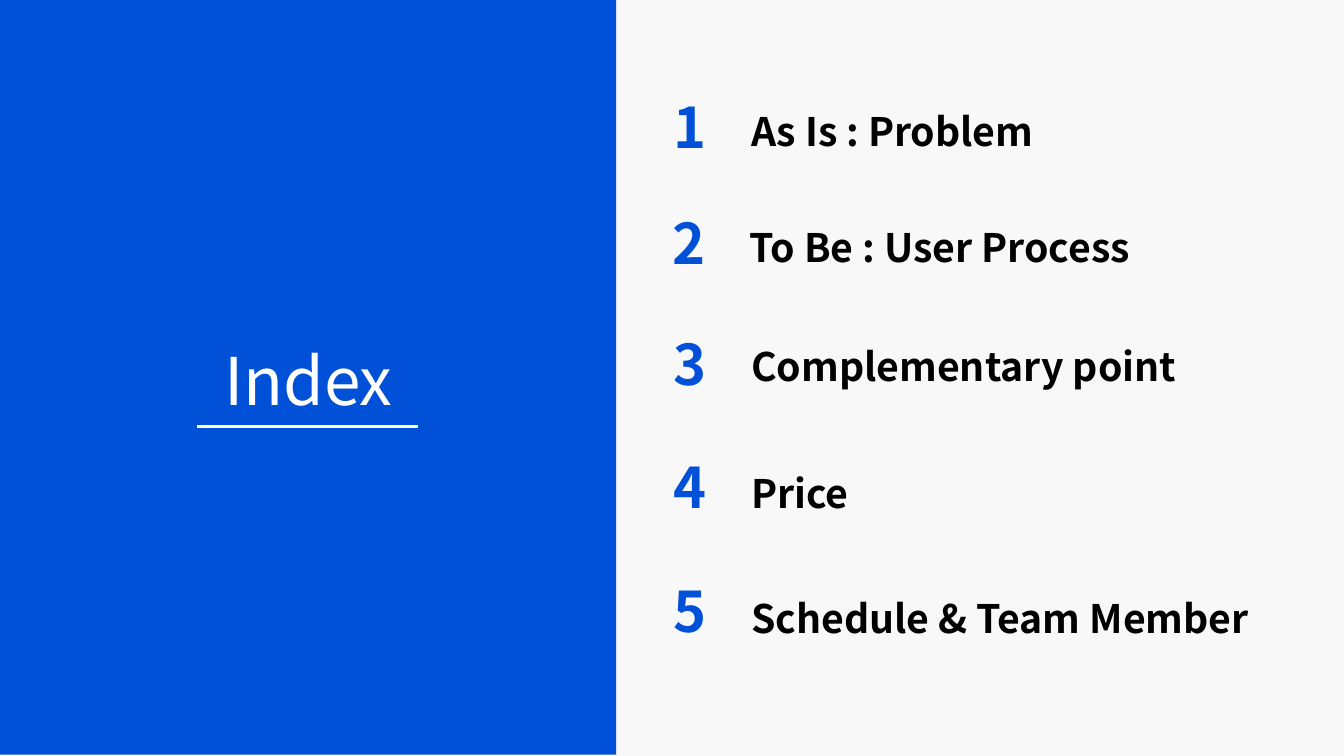
import pptx
import pptx.dml.color
import pptx.enum.shapes
import pptx.enum.text
import pptx.oxml.ns
import pptx.util
from lxml import etree

RGB = pptx.dml.color.RGBColor
ALIGN = pptx.enum.text.PP_ALIGN
BLUE = RGB(0x00, 0x51, 0xD7)
PALE = RGB(0xF8, 0xF8, 0xF8)
WHITE = RGB(0xFF, 0xFF, 0xFF)
BLACK = RGB(0x00, 0x00, 0x00)
FONT = "Noto Sans CJK KR"
PX = 4572  # 200 px to the inch

# Left shift, number top, label top, label
ENTRIES = [
    (0, 118, 140, "As Is : Problem"),
    (-2, 290, 312, "To Be : User Process"),
    (0, 470, 490, "Complementary point"),
    (0, 654, 678, "Price"),
    (0, 838, 864, "Schedule & Team Member"),
]


def px(*lengths):
    return [pptx.util.Emu(n * PX) for n in lengths]


def write(sp, text, size, color, bold=False, align=ALIGN.LEFT):
    """Fill a shape with one formatted paragraph."""
    tf = sp.text_frame
    tf.word_wrap = True
    tf.auto_size = pptx.enum.text.MSO_AUTO_SIZE.NONE
    tf.vertical_anchor = pptx.enum.text.MSO_ANCHOR.TOP
    tf.margin_left = tf.margin_top = tf.margin_right = tf.margin_bottom = px(20)[0]
    p = tf.paragraphs[0]
    p.alignment = align
    r = p.add_run()
    r.text = text
    r.font.size = pptx.util.Pt(size)
    r.font.bold = bold
    r.font.color.rgb = color
    r.font.name = FONT
    ea = etree.SubElement(r.font._element, pptx.oxml.ns.qn("a:ea"))
    ea.set("typeface", FONT)


def title_panel(s, x, y, w, h):
    # Blue panel, sent behind the title
    sp = s.shapes.add_shape(pptx.enum.shapes.MSO_SHAPE.RECTANGLE, *px(x, y, w, h))
    sp.shadow.inherit = False
    sp.fill.solid()
    sp.fill.fore_color.rgb = BLUE
    sp.line.fill.background()
    s.shapes._spTree.insert(2, sp._element)

    # Title
    title = s.shapes.title
    title.left, title.top, title.width, title.height = px(x + 241, y + 487, 438, 126)
    write(title, "Index", 35.2, WHITE, align=ALIGN.CENTER)

    # Underline
    line = s.shapes.add_connector(
        pptx.enum.shapes.MSO_CONNECTOR.STRAIGHT,
        *px(x + 294, y + 636, x + 623, y + 636))
    line.line.color.rgb = WHITE
    line.line.width = pptx.util.Pt(1.5)
    etree.SubElement(line._element.spPr, pptx.oxml.ns.qn("a:effectLst"))


def index_list(s, x, y):
    for number, (shift, number_top, label_top, label) in enumerate(ENTRIES, 1):
        left = x + shift
        sp = s.shapes.add_textbox(*px(left, y + number_top, 144, 118))
        write(sp, str(number), 30, BLUE, bold=True, align=ALIGN.CENTER)
        sp = s.shapes.add_textbox(*px(left + 143, y + label_top, 820, 118))
        write(sp, label, 21, BLACK, bold=True)


def main():
    prs = pptx.Presentation()
    prs.slide_width, prs.slide_height = px(2000, 1125)
    s = prs.slides.add_slide(prs.slide_layouts[5])
    s.background.fill.solid()
    s.background.fill.fore_color.rgb = PALE
    title_panel(s, -1, -1, 918, 1124)
    index_list(s, 955, 0)
    prs.save("out.pptx")


if __name__ == "__main__":
    main()
